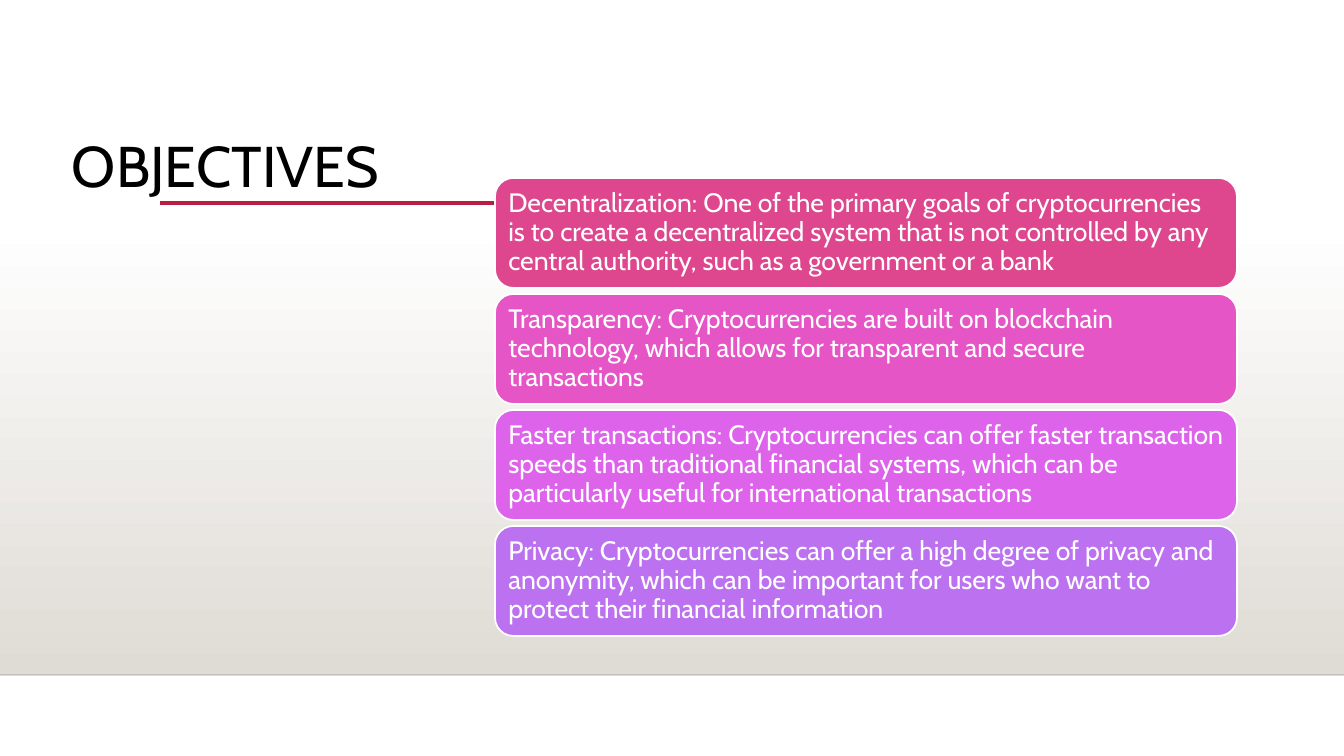
from lxml.etree import SubElement
from pptx import Presentation
from pptx.dml.color import RGBColor
from pptx.enum.shapes import MSO_CONNECTOR, MSO_SHAPE
from pptx.enum.text import MSO_ANCHOR, PP_ALIGN
from pptx.oxml.ns import qn
from pptx.util import Pt

PX = 12192000 / 1344  # EMU per px
WIDTH, HEIGHT = 1344, 756
FLOOR_TOP, FLOOR_BOTTOM = 223, 675


def px(*lengths):
    return [round(length * PX) for length in lengths]


def write(shape, text, size, color, anchor, inset_x, inset_y):
    frame = shape.text_frame
    frame.word_wrap = True
    frame.vertical_anchor = anchor
    frame.margin_left, frame.margin_right = px(inset_x, inset_x)
    frame.margin_top, frame.margin_bottom = px(inset_y, inset_y)
    paragraph = frame.paragraphs[0]
    paragraph.alignment = PP_ALIGN.LEFT
    paragraph.line_spacing = 0.9
    run = paragraph.add_run()
    run.text = text
    run.font.name = "Cabin"
    run.font.size = Pt(size)
    run.font.color.rgb = RGBColor.from_string(color)


deck = Presentation()
deck.slide_width, deck.slide_height = px(WIDTH, HEIGHT)
slide = deck.slides.add_slide(deck.slide_layouts[6])
shapes = slide.shapes

# Backdrop fading from white down to the floor
backdrop = shapes.add_shape(
    MSO_SHAPE.RECTANGLE, *px(0, FLOOR_TOP, WIDTH, FLOOR_BOTTOM - FLOOR_TOP))
backdrop.shadow.inherit = False
backdrop.line.fill.background()
backdrop.fill.gradient()
backdrop.fill.gradient_angle = 270
for stop, color in zip(backdrop.fill.gradient_stops, ("FFFFFF", "DFDBD5")):
    stop.color.rgb = RGBColor.from_string(color)

# Floor line and title rule: left, right, y, colour, weight, opacity in percent
for left, right, y, color, weight, opacity in (
    (0, WIDTH, FLOOR_BOTTOM, "000001", 1, 20),
    (160, 1220, 203, "B71E42", 2.5, 100),
):
    rule = shapes.add_connector(MSO_CONNECTOR.STRAIGHT, *px(left, y, right, y))
    rule.line.color.rgb = RGBColor.from_string(color)
    rule.line.width = Pt(weight)
    if opacity < 100:
        tint = rule.line._ln.find(".//" + qn("a:srgbClr"))
        SubElement(tint, qn("a:alpha"), val=str(opacity * 1000))
    SubElement(rule._element.spPr, qn("a:effectLst"))

# Title
title = shapes.add_textbox(*px(62, 133, 353, 479))
write(title, "OBJECTIVES", 41, "000000", MSO_ANCHOR.TOP, 10, 5)

# Objective cards
objectives = (
    ("DE478E", "Decentralization: One of the primary goals of cryptocurrencies "
     "is to create a decentralized system that is not controlled by any "
     "central authority, such as a government or a bank"),
    ("E555C6", "Transparency: Cryptocurrencies are built on blockchain "
     "technology, which allows for transparent and secure transactions"),
    ("DD63EB", "Faster transactions: Cryptocurrencies can offer faster "
     "transaction speeds than traditional financial systems, which can be "
     "particularly useful for international transactions"),
    ("BC72F0", "Privacy: Cryptocurrencies can offer a high degree of privacy "
     "and anonymity, which can be important for users who want to protect "
     "their financial information"),
)
CARD_TOP, CARD_HEIGHT, CARD_GAP = 178, 110, 6
for row, (color, objective) in enumerate(objectives):
    top = CARD_TOP + row * (CARD_HEIGHT + CARD_GAP)
    card = shapes.add_shape(
        MSO_SHAPE.ROUNDED_RECTANGLE, *px(495, top, 742, CARD_HEIGHT))
    card.shadow.inherit = False
    card.fill.solid()
    card.fill.fore_color.rgb = RGBColor.from_string(color)
    card.line.color.rgb = RGBColor.from_string("FFFFFF")
    card.line.width = Pt(1.25)
    # The preset insets its text by 5 px at the corners
    write(card, objective, 19, "FFFFFF", MSO_ANCHOR.MIDDLE, 8, 8)

deck.save("out.pptx")
